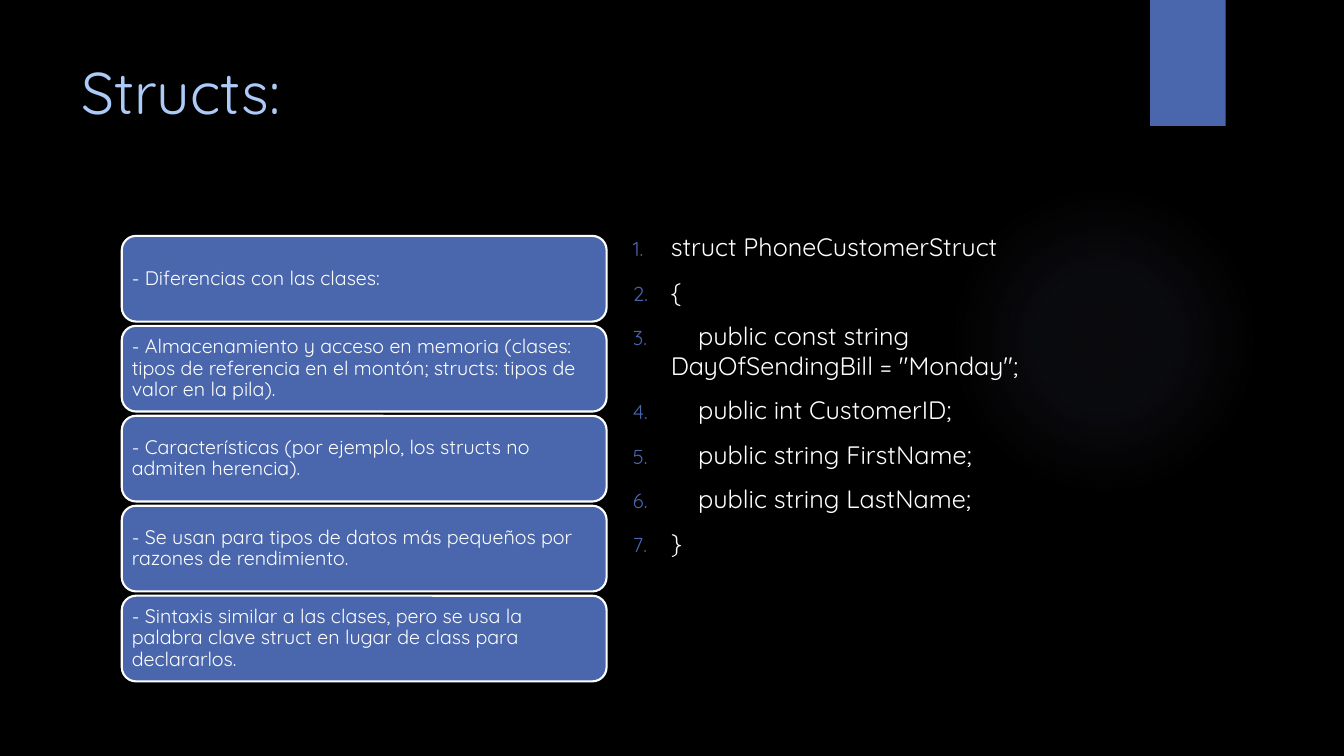
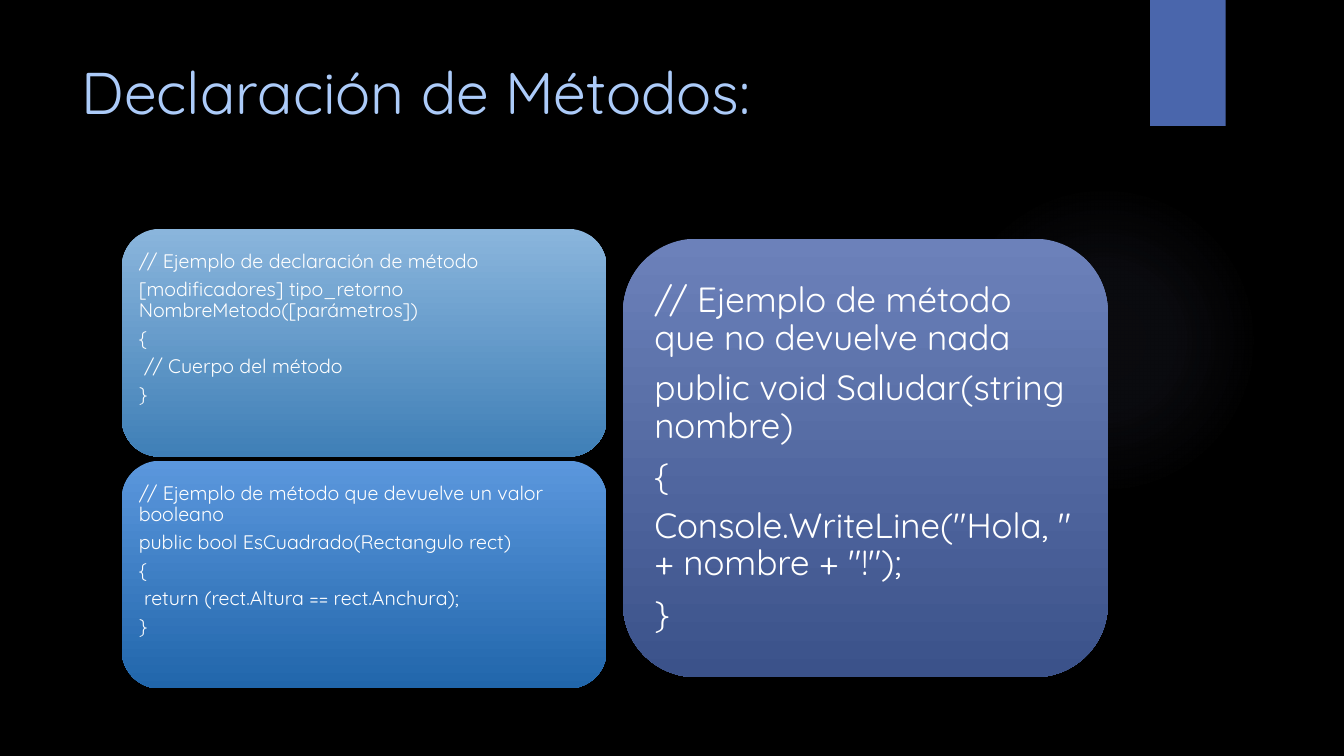
import pptx
import pptx.dml.color
import pptx.enum.shapes
import pptx.enum.text
import pptx.oxml
import pptx.oxml.ns
import pptx.util

Pt = pptx.util.Pt
SHAPE = pptx.enum.shapes.MSO_SHAPE
ANCHOR = pptx.enum.text.MSO_ANCHOR
ALIGN = pptx.enum.text.PP_ALIGN

BLACK, WHITE, BLUE, SKY, GLOW = "000000", "FFFFFF", "4A66AC", "ACCBF9", "9297CF"
LEFT_COL, RIGHT_COL, COL_W = 87, 445, 346.3
CARD_SIZE = 14
LINE_SPACING, AFTER_RATIO = 0.9, 0.35


def rgb(hex_color):
    return pptx.dml.color.RGBColor.from_string(hex_color)


def xml(text):
    """Make one element of the drawing namespace."""
    return pptx.oxml.parse_xml(f"<a:root {pptx.oxml.ns.nsdecls('a')}>{text}</a:root>")[0]


class Deck:
    font = "Quicksand"

    def __init__(self):
        self.prs = pptx.Presentation()
        self.prs.slide_width, self.prs.slide_height = Pt(960), Pt(540)
        fill = self.prs.slide_master.background.fill
        fill.solid()
        fill.fore_color.rgb = rgb(BLACK)
        self.s = None

    def new_slide(self, title):
        """Start a slide with the glow, the corner band and its title."""
        self.s = self.prs.slides.add_slide(self.prs.slide_layouts[6])
        self.glow(677.5, 131.8, 221.8)
        self.shape(SHAPE.RECTANGLE, 821.5, 0, 54, 90, [BLUE])
        tf = self.text_box(51, 36, 741, 110)
        self.put_text(tf, [title], 42, SKY)

    def shape(self, kind, x, y, w, h, colors, line=None):
        """One colour gives a solid fill, two a top-to-bottom gradient."""
        sp = self.s.shapes.add_shape(kind, Pt(x), Pt(y), Pt(w), Pt(h))
        sp.shadow.inherit = False
        if len(colors) == 1:
            sp.fill.solid()
            sp.fill.fore_color.rgb = rgb(colors[0])
        else:
            sp.fill.gradient()
            sp.fill.gradient_angle = 270
            for stop, color in zip(sp.fill.gradient_stops, colors):
                stop.color.rgb = rgb(color)
        if line:
            sp.line.color.rgb = rgb(line)
            sp.line.width = Pt(1.5)
        else:
            sp.line.fill.background()
        return sp

    def glow(self, x, y, size):
        sp = self.shape(SHAPE.OVAL, x, y, size, size, [GLOW])
        stops = "".join(
            f'<a:gs pos="{pos * 1000}"><a:srgbClr val="{GLOW}">'
            f'<a:alpha val="{alpha * 1000}"/></a:srgbClr></a:gs>'
            for pos, alpha in ((0, 7), (36, 6), (69, 0)))
        spPr = sp.element.spPr
        solid = spPr.find(pptx.oxml.ns.qn("a:solidFill"))
        spPr.replace(solid, xml(
            f'<a:gradFill rotWithShape="1"><a:gsLst>{stops}</a:gsLst><a:path path="circle">'
            '<a:fillToRect l="50000" t="50000" r="50000" b="50000"/></a:path></a:gradFill>'))

    def text_box(self, x, y, w, h):
        tf = self.s.shapes.add_textbox(Pt(x), Pt(y), Pt(w), Pt(h)).text_frame
        tf.word_wrap = True
        return tf

    def put_text(self, tf, lines, size, color=WHITE, **formats):
        """Fill a text frame, one paragraph per line."""
        for i, line in enumerate(lines):
            p = tf.paragraphs[0] if i == 0 else tf.add_paragraph()
            for name, value in {"alignment": ALIGN.LEFT, **formats}.items():
                setattr(p, name, value)
            r = p.add_run()
            r.text = line
            for name, value in {"name": self.font, "size": Pt(size)}.items():
                setattr(r.font, name, value)
            r.font.color.rgb = rgb(color)

    def card(self, x, y, h, lines, colors, size=CARD_SIZE, inset=4.2, bottom=0, line=None):
        """Rounded box with left-aligned text; bottom is extra room below it."""
        tf = self.shape(SHAPE.ROUNDED_RECTANGLE, x, y, COL_W, h, colors, line).text_frame
        margins = {f"margin_{side}": Pt(inset) for side in ("left", "top", "right")}
        formats = {"word_wrap": True, "vertical_anchor": ANCHOR.MIDDLE,
                   **margins, "margin_bottom": Pt(inset + bottom)}
        for name, value in formats.items():
            setattr(tf, name, value)
        self.put_text(tf, lines, size, line_spacing=LINE_SPACING,
                      space_after=Pt(AFTER_RATIO * size))

    def numbered(self, x, y, w, h, lines, size):
        tf = self.text_box(x, y, w, h)
        self.put_text(tf, lines, size)
        for i, p in enumerate(tf.paragraphs):
            pPr = p._p.get_or_add_pPr()
            pPr.set("marL", str(Pt(27)))
            pPr.set("indent", str(-Pt(27)))
            for bullet in (f'<a:buClr><a:srgbClr val="{BLUE}"/></a:buClr>',
                           '<a:buSzPct val="80000"/>',
                           '<a:buAutoNum type="arabicPeriod"/>'):
                pPr.append(xml(bullet))
            if i:
                p.space_before = Pt(10)


def structs_slide(deck):
    deck.new_slide("Structs:")
    points = [
        "- Diferencias con las clases:",
        "- Almacenamiento y acceso en memoria (clases: tipos de referencia en el montón; "
        "structs: tipos de valor en la pila).",
        "- Características (por ejemplo, los structs no admiten herencia).",
        "- Se usan para tipos de datos más pequeños por razones de rendimiento.",
        "- Sintaxis similar a las clases, pero se usa la palabra clave struct en lugar de "
        "class para declararlos.",
    ]
    for i, point in enumerate(points):
        deck.card(LEFT_COL, 168.5 + i * 64.25, 61.2, [point], [BLUE], line=WHITE)
    deck.numbered(RIGHT_COL, 162, COL_W, 330.5, [
        "struct PhoneCustomerStruct",
        "{",
        "    public const string DayOfSendingBill = \"Monday\";",
        "    public int CustomerID;",
        "    public string FirstName;",
        "    public string LastName;",
        "}",
    ], 18)


def methods_slide(deck):
    deck.new_slide("Declaración de Métodos:")
    examples = [
        (["8AB5DC", "3F7FB7"], [
            "// Ejemplo de declaración de método",
            "[modificadores] tipo_retorno NombreMetodo([parámetros])",
            "{",
            " // Cuerpo del método",
            "}",
        ]),
        (["5B97DD", "2166AB"], [
            "// Ejemplo de método que devuelve un valor booleano",
            "public bool EsCuadrado(Rectangulo rect)",
            "{",
            " return (rect.Altura == rect.Anchura);",
            "}",
        ]),
    ]
    for i, (colors, code) in enumerate(examples):
        deck.card(LEFT_COL, 163.5 + i * 165.6, 162.7, code, colors, bottom=20)
    deck.card(RIGHT_COL, 170.5, 313.2, [
        "// Ejemplo de método que no devuelve nada",
        "public void Saludar(string nombre)",
        "{",
        "Console.WriteLine(\"Hola, \" + nombre + \"!\");",
        "}",
    ], ["6C81BA", "3B528A"], size=25, inset=7.2)


def main():
    deck = Deck()
    structs_slide(deck)
    methods_slide(deck)
    deck.prs.save("out.pptx")


if __name__ == "__main__":
    main()
